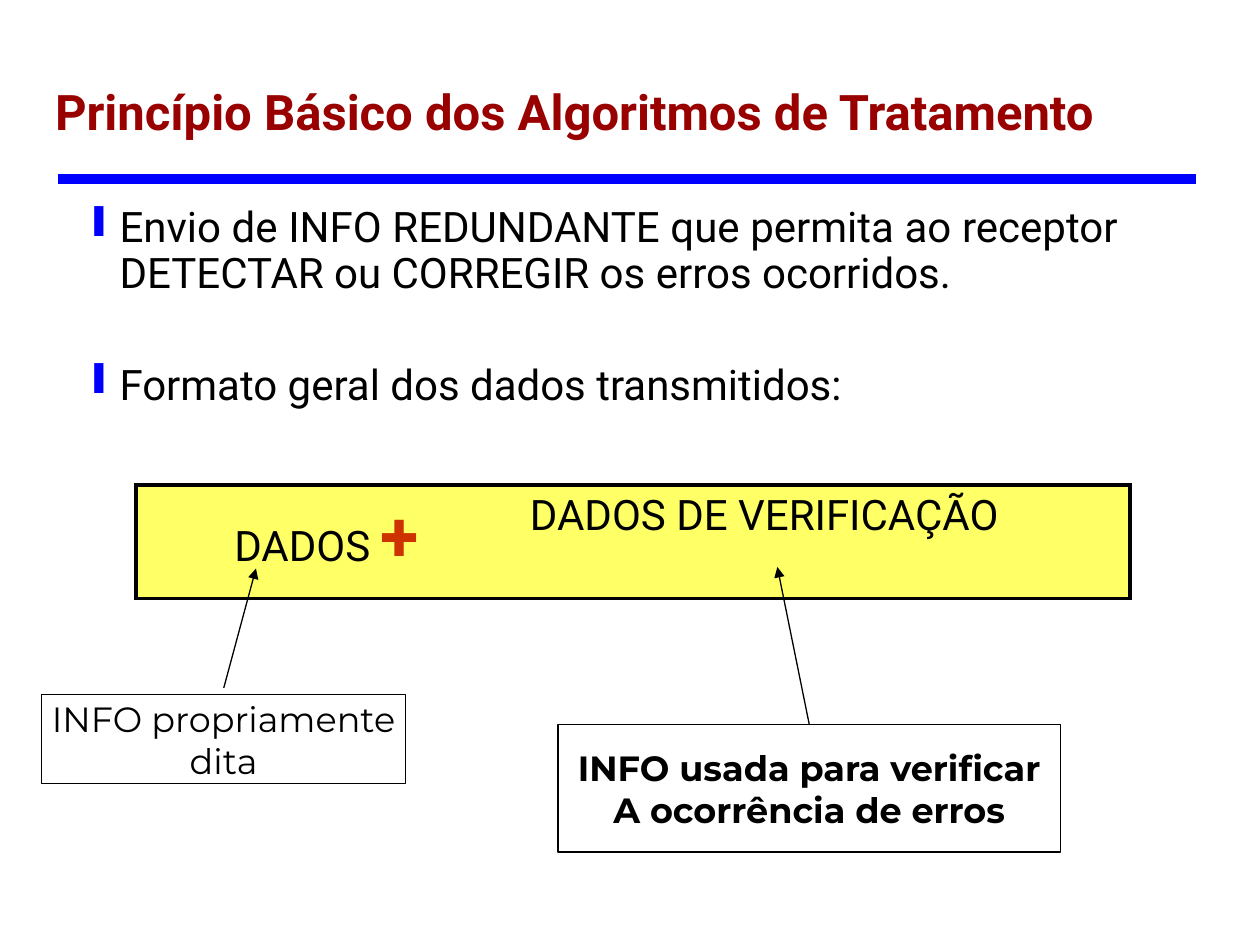
from lxml import etree
from pptx import Presentation
from pptx.dml.color import RGBColor
from pptx.enum.shapes import MSO_CONNECTOR, MSO_SHAPE
from pptx.enum.text import MSO_ANCHOR, PP_ALIGN
from pptx.oxml.ns import qn
from pptx.util import Cm, Pt

STRAIGHT = MSO_CONNECTOR.STRAIGHT
RECTANGLE = MSO_SHAPE.RECTANGLE
TOP, MIDDLE = MSO_ANCHOR.TOP, MSO_ANCHOR.MIDDLE
LEFT, CENTER, JUSTIFY = PP_ALIGN.LEFT, PP_ALIGN.CENTER, PP_ALIGN.JUSTIFY

COLORS = {"title": "990000", "rule": "0000FF", "text": "000000",
          "data": "FFFF66", "plus": "CC3300"}
BODY, LABEL = "Roboto", "Montserrat"
INDENT = Cm(0.53)
TOP_SITE = 0


def color(name):
    return RGBColor.from_string(COLORS[name])


def set_attributes(target, values):
    for name, value in values.items():
        setattr(target, name, value)


def add_run(paragraph, text, ink="text", **font):
    run = paragraph.add_run()
    run.text = text
    set_attributes(run.font, font)
    run.font.color.rgb = color(ink)


def add_text_frame(slide, box):
    frame = slide.shapes.add_textbox(*map(Cm, box)).text_frame
    frame.word_wrap = True
    return frame


def add_bullet(paragraph):
    properties = paragraph._p.get_or_add_pPr()
    properties.set("marL", str(INDENT))
    properties.set("indent", str(-INDENT))
    tint = etree.SubElement(properties, qn("a:buClr"))
    etree.SubElement(tint, qn("a:srgbClr"), val=COLORS["rule"])
    etree.SubElement(properties, qn("a:buChar"), char="❙")


def add_line(slide, start, end, ink, width):
    line = slide.shapes.add_connector(STRAIGHT, *map(Cm, start + end))
    line.line.color.rgb = color(ink)
    line.line.width = Pt(width)
    etree.SubElement(line._element.spPr, qn("a:effectLst"))
    return line


def add_title(slide, box):
    left, top, width, _ = box
    rule_y = top + 1.96
    add_line(slide, (left + 0.3, rule_y), (left + width - 0.74, rule_y), "rule", 6)
    paragraph = add_text_frame(slide, box).paragraphs[0]
    set_attributes(paragraph, {"alignment": JUSTIFY, "line_spacing": 0.9})
    add_run(paragraph, "Princípio Básico dos Algoritmos de Tratamento", "title",
            name=BODY, size=Pt(28), bold=True)


def add_bullets(slide, box, items, gap):
    frame = add_text_frame(slide, box)
    for index, item in enumerate(items):
        paragraph = frame.add_paragraph() if index else frame.paragraphs[0]
        add_bullet(paragraph)
        set_attributes(paragraph, {"alignment": JUSTIFY, "line_spacing": 0.9})
        if index:
            paragraph.space_before = Pt(gap)
        add_run(paragraph, item, name=BODY, size=Pt(24))


def set_borders(cell, drawn_sides):
    """Draw the given sides (L, R, T, B) and hide the others."""
    properties = cell._tc.get_or_add_tcPr()
    for index, side in enumerate("LRTB"):
        border = etree.Element(qn(f"a:ln{side}"), w=str(Pt(2.21)))
        if side in drawn_sides:
            fill = etree.SubElement(border, qn("a:solidFill"))
            etree.SubElement(fill, qn("a:srgbClr"), val=COLORS["text"])
        else:
            etree.SubElement(border, qn("a:noFill"))
        properties.insert(index, border)


def add_data_format(slide, box, column_widths):
    table = slide.shapes.add_table(1, 2, *map(Cm, box)).table
    set_attributes(table, {"first_row": False, "horz_banding": False})
    for column, width in zip(table.columns, column_widths):
        column.width = Cm(width)
    plain = {"name": BODY, "size": Pt(24), "bold": False}
    plus = {"name": BODY, "size": Pt(40), "bold": True}
    parts = [
        ("LTB", MIDDLE, {"alignment": CENTER, "line_spacing": 0.8},
         [("DADOS ", "text", plain), ("+", "plus", plus)]),
        ("RTB", TOP, {"alignment": LEFT},
         [("DADOS DE VERIFICAÇÃO", "text", plain)]),
    ]
    for cell, (sides, anchor, layout, runs) in zip(table.rows[0].cells, parts):
        cell.fill.solid()
        cell.fill.fore_color.rgb = color("data")
        set_borders(cell, sides)
        cell.vertical_anchor = anchor
        paragraph = cell.text_frame.paragraphs[0]
        paragraph._p.get_or_add_pPr().set("marL", str(INDENT))
        set_attributes(paragraph, layout)
        for text, ink, font in runs:
            add_run(paragraph, text, ink, **font)


def add_callout(slide, box, lines, target, gap=0, bold=False):
    """Place a label whose arrow leaves its top, or a gap above it, for the target."""
    left, top, width, _ = box
    arrow = add_line(slide, (left + width / 2, top - gap), target, "text", 0.75)
    etree.SubElement(arrow.line._get_or_add_ln(), qn("a:tailEnd"), type="triangle")

    label = slide.shapes.add_shape(RECTANGLE, *map(Cm, box))
    label.shadow.inherit = False
    label.fill.background()
    label.line.color.rgb = color("text")
    label.line.width = Pt(0.75)
    frame = label.text_frame
    set_attributes(frame, {"word_wrap": False, "vertical_anchor": MIDDLE})
    for index, line in enumerate(lines):
        paragraph = frame.add_paragraph() if index else frame.paragraphs[0]
        paragraph.alignment = CENTER
        add_run(paragraph, line, name=LABEL, size=Pt(20), bold=bold)
    if not gap:
        arrow.begin_connect(label, TOP_SITE)


def main():
    deck = Presentation()
    set_attributes(deck, {"slide_width": Cm(25.4), "slide_height": Cm(19.05)})
    slide = deck.slides.add_slide(deck.slide_layouts[6])
    add_title(slide, (0.86, 1.65, 23.98, 1.32))
    add_bullets(slide, (1.63, 4.04, 21.16, 5.26), [
        "Envio de INFO REDUNDANTE que permita ao receptor DETECTAR ou CORREGIR "
        "os erros ocorridos.",
        "Formato geral dos dados transmitidos:",
    ], gap=38)
    add_data_format(slide, (2.74, 9.78, 20.04, 2.29), (7.16, 12.88))
    add_callout(slide, (0.84, 14, 7.34, 1.8), ["INFO propriamente", "dita"],
                target=(5.16, 11.46), gap=0.13)
    add_callout(slide, (11.25, 14.61, 10.13, 2.57),
                ["INFO usada para verificar", "A ocorrência de erros"],
                target=(15.67, 11.43), bold=True)
    deck.save("out.pptx")


if __name__ == "__main__":
    main()
